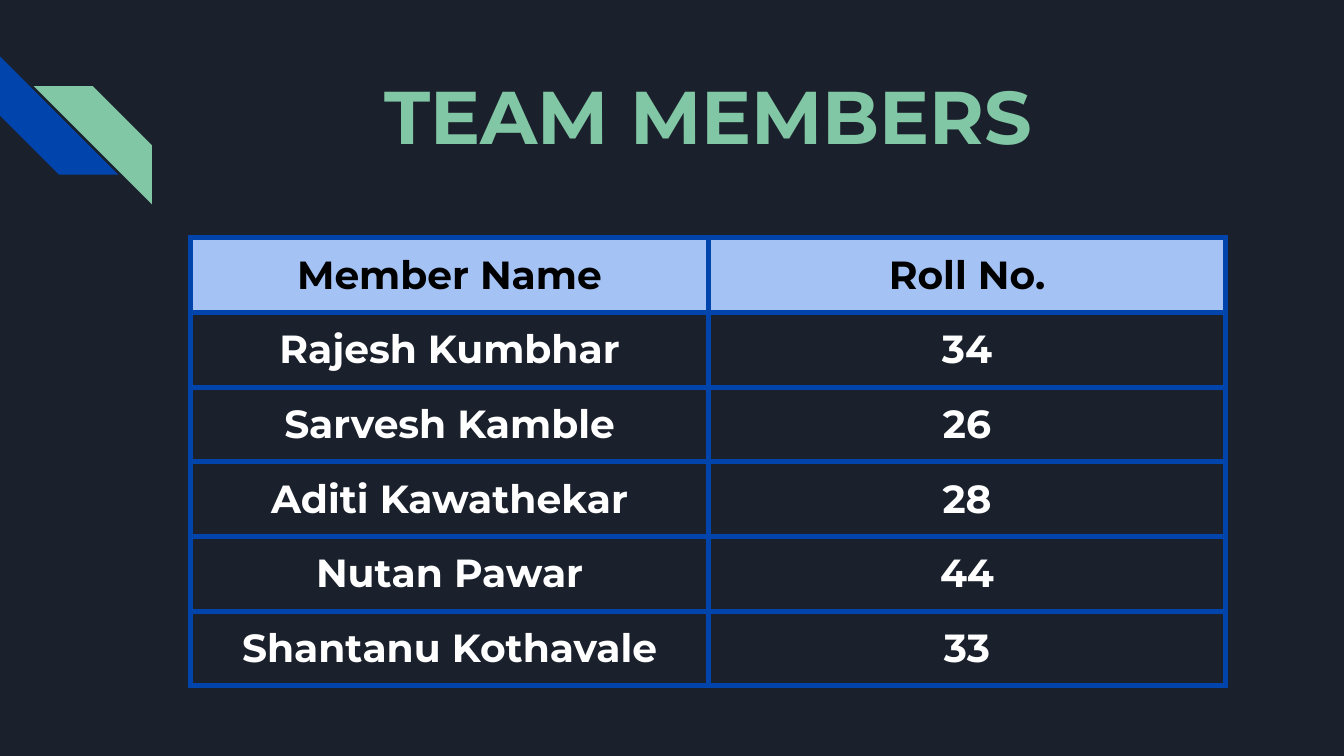
from dataclasses import dataclass

from lxml import etree
from pptx import Presentation
from pptx import util as u
from pptx.dml.color import RGBColor
from pptx.enum import shapes, text
from pptx.oxml import ns


@dataclass(frozen=True)
class Theme:
    background: str = "1B212C"
    blue: str = "0145AC"
    green: str = "82C7A5"
    header_fill: str = "A4C2F4"
    header_text: str = "000000"
    body_text: str = "FFFFFF"
    font: str = "Montserrat"
    title_size: int = 40
    table_size: int = 21
    border_width: int = 3


theme = Theme()


def write_centered(frame, content, size, color):
    """Put one bold centred run in a text frame."""
    paragraph = frame.paragraphs[0]
    paragraph.alignment = text.PP_ALIGN.CENTER
    run = paragraph.add_run()
    run.text = content
    run.font.name = theme.font
    run.font.size = u.Pt(size)
    run.font.bold = True
    run.font.color.rgb = RGBColor.from_string(color)


def add_borders(cell):
    properties = cell._tc.get_or_add_tcPr()
    for position, side in enumerate(("lnL", "lnR", "lnT", "lnB")):
        line = etree.Element(ns.qn(f"a:{side}"), w=str(u.Pt(theme.border_width)))
        fill = etree.SubElement(line, ns.qn("a:solidFill"))
        etree.SubElement(fill, ns.qn("a:srgbClr"), val=theme.blue)
        properties.insert(position, line)


# Widescreen slide, 16:9
presentation = Presentation()
presentation.slide_width = u.Inches(10)
presentation.slide_height = u.Inches(10 * 9 / 16)
slide = presentation.slides.add_slide(presentation.slide_layouts[5])
slide.background.fill.solid()
slide.background.fill.fore_color.rgb = RGBColor.from_string(theme.background)

# Corner stripes
stripe_size = u.Inches(0.88)
for left, top, rotation, color in (
    (0, 0.42, 270, theme.blue),
    (0.25, 0.64, 90, theme.green),
):
    stripe = slide.shapes.add_shape(
        shapes.MSO_SHAPE.DIAGONAL_STRIPE,
        u.Inches(left), u.Inches(top), stripe_size, stripe_size,
    )
    stripe.rotation = rotation
    stripe.shadow.inherit = False
    stripe.fill.solid()
    stripe.fill.fore_color.rgb = RGBColor.from_string(color)
    stripe.line.fill.background()

# Title
title = slide.shapes.title
title.left, title.top = u.Inches(1.42), u.Inches(0.42)
title.width, title.height = u.Inches(7.7), u.Inches(0.87)
frame = title.text_frame
frame.margin_left = frame.margin_right = u.Inches(0.1)
frame.margin_top = frame.margin_bottom = u.Inches(0.1)
frame.vertical_anchor = text.MSO_ANCHOR.TOP
frame.auto_size = text.MSO_AUTO_SIZE.NONE
frame.word_wrap = True
write_centered(frame, "TEAM MEMBERS", theme.title_size, theme.green)

# Members table
members = (
    ("Member Name", "Roll No."),
    ("Rajesh Kumbhar", "34"),
    ("Sarvesh Kamble", "26"),
    ("Aditi Kawathekar", "28"),
    ("Nutan Pawar", "44"),
    ("Shantanu Kothavale", "33"),
)
table = slide.shapes.add_table(
    len(members), 2,
    u.Inches(1.42), u.Inches(1.77), u.Inches(7.7), u.Inches(0.54 * len(members)),
).table
table.horz_banding = False

for row_index, member in enumerate(members):
    is_header = row_index == 0
    color = theme.header_text if is_header else theme.body_text
    for column_index, value in enumerate(member):
        cell = table.cell(row_index, column_index)
        cell.margin_left = cell.margin_right = u.Inches(0.1)
        cell.margin_top = cell.margin_bottom = u.Inches(0.1)
        if is_header:
            cell.fill.solid()
            cell.fill.fore_color.rgb = RGBColor.from_string(theme.header_fill)
        else:
            cell.fill.background()
        add_borders(cell)
        write_centered(cell.text_frame, value, theme.table_size, color)

presentation.save("out.pptx")
